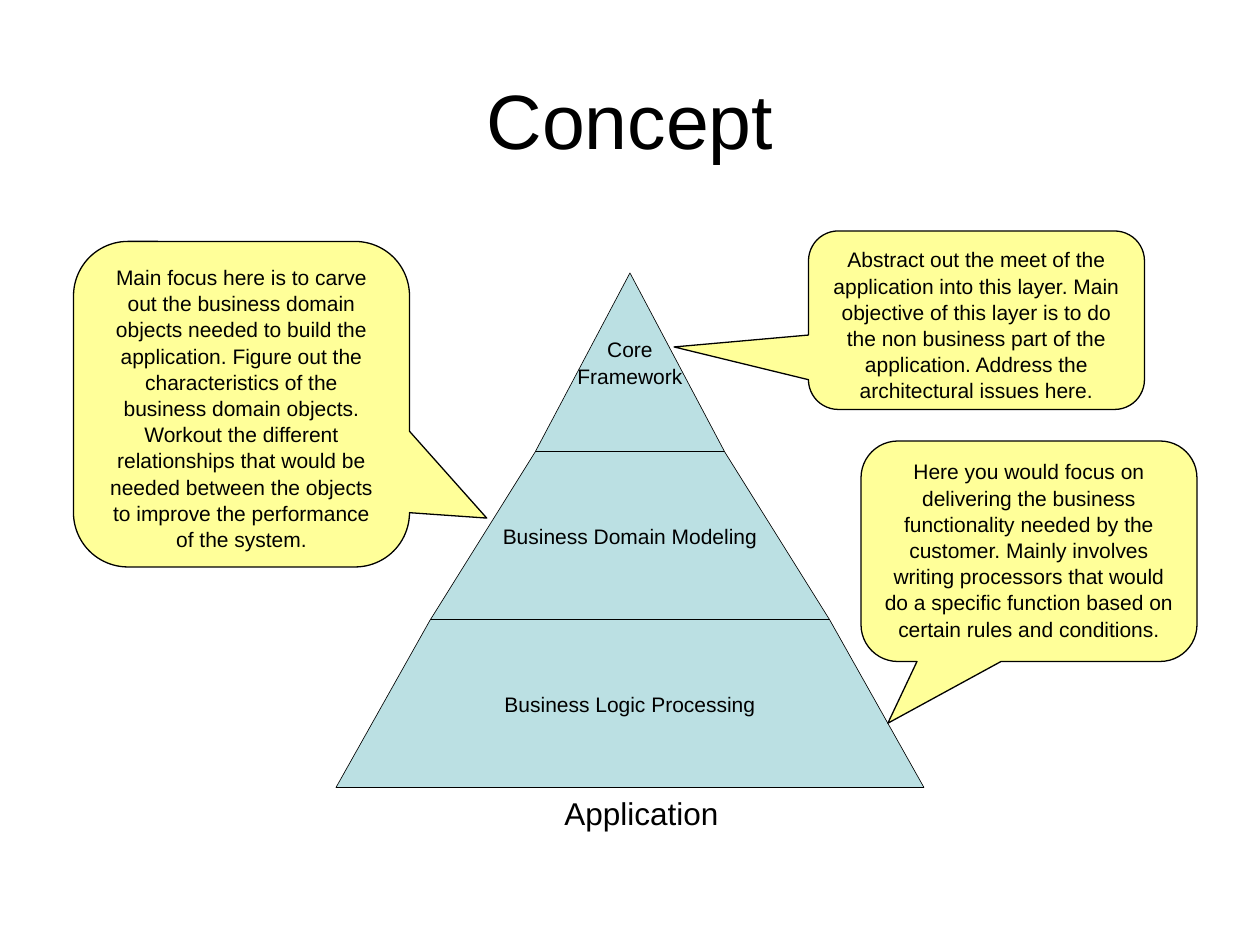
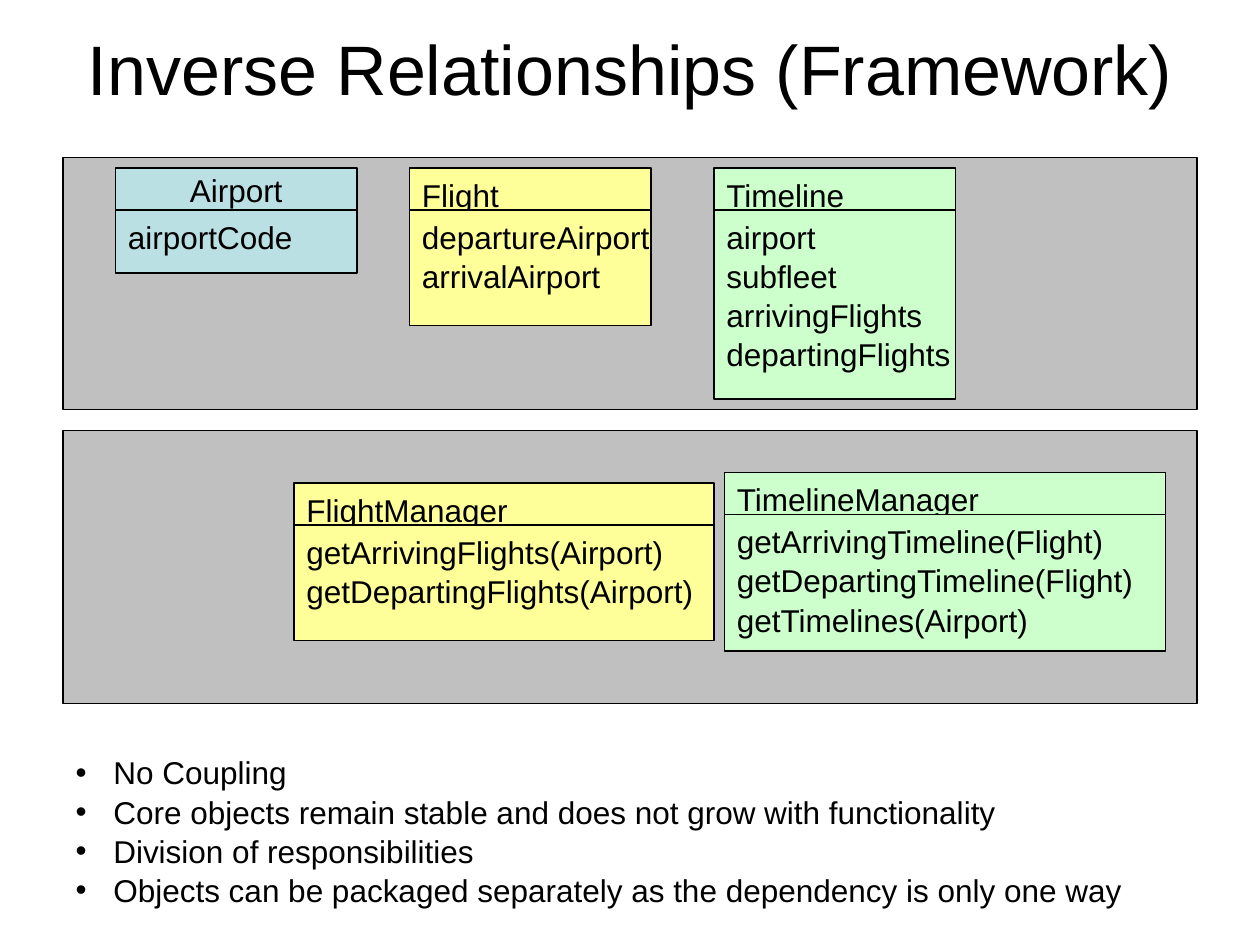
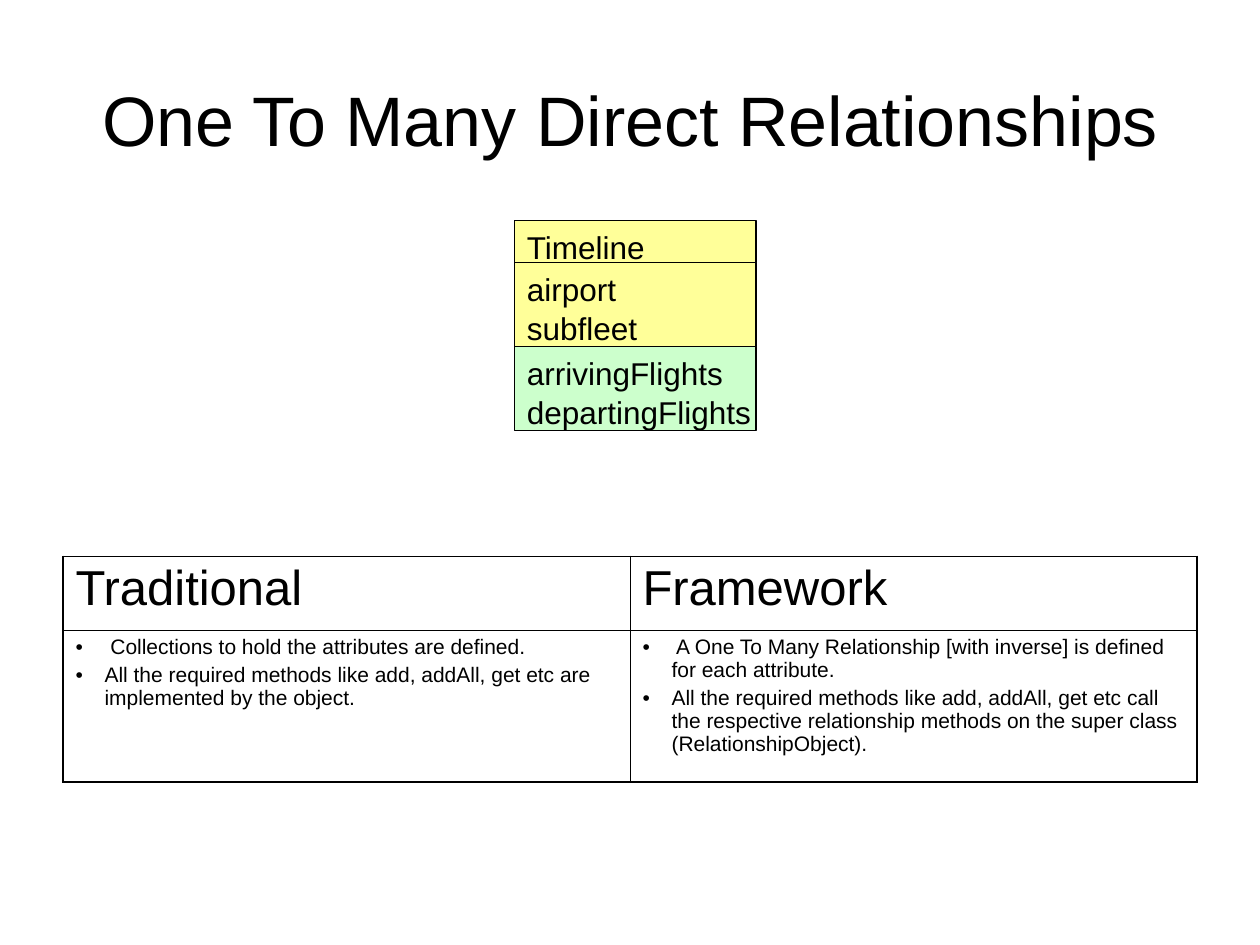
import dataclasses
import typing

import lxml.etree
import pptx
import pptx.chart.data
import pptx.dml.color
import pptx.enum.shapes
import pptx.enum.text
import pptx.oxml.ns
import pptx.util

COLOURS = {
    "ink": "000000",
    "blue": "BBE0E3",
    "yellow": "FFFF99",
    "green": "CCFFCC",
    "grey": "C0C0C0",
}
FONT = "Arial"
COLUMNS, ROWS = 120, 90
CELL = pptx.util.Inches(10) // COLUMNS
LINE_SPACING = 1.04
BULLET_INDENT = pptx.util.Inches(0.23)
THICK, THIN = 1.08, 0.45
TITLE_ONLY, TITLE_AND_BODY = 5, 1

ALIGN = pptx.enum.text.PP_ALIGN
ANCHOR = pptx.enum.text.MSO_ANCHOR
PRESET = pptx.enum.shapes.MSO_SHAPE


@dataclasses.dataclass(frozen=True)
class Area:
    column: float
    row: float
    columns: float
    rows: float

    def lengths(self) -> tuple[int, ...]:
        return tuple(round(CELL * value) for value in dataclasses.astuple(self))


@dataclasses.dataclass(frozen=True)
class Callout:
    area: Area
    pointer: tuple[float, float]
    text: str


@dataclasses.dataclass(frozen=True)
class Section:
    rows: float
    colour: str
    lines: tuple[str, ...]
    centred: bool = False


@dataclasses.dataclass(frozen=True)
class ClassCard:
    column: float
    row: float
    columns: float
    sections: tuple[Section, ...]


TITLE_AREA = Area(6, 3.6, 108, 15)
HIGH_TITLE_AREA = Area(6, 3.6, 108, 5.4)

APEX_COLUMN, APEX_ROW = 60, 26.4
TIER_ROWS, TIER_SPREAD = 16.2, 9.34
TIERS = (
    ("Core", "Framework"),
    ("Business Domain Modeling",),
    ("Business Logic Processing",),
)
CALLOUTS = (
    Callout(Area(77, 22, 32, 17), (-0.9, 0.15),
            "Abstract out the meet of the application into this layer. Main objective of this "
            "layer is to do the non business part of the application. Address the architectural "
            "issues here."),
    Callout(Area(82, 42, 32, 21), (-0.42, 0.78),
            "Here you would focus on delivering the business functionality needed by the customer. "
            "Mainly involves writing processors that would do a specific function based on certain "
            "rules and conditions."),
    Callout(Area(7, 23, 32, 31), (0.73, 0.35),
            "Main focus here is to carve out the business domain objects needed to build the "
            "application. Figure out the characteristics of the business domain objects. Workout "
            "the different relationships that would be needed between the objects to improve the "
            "performance of the system."),
)

PANELS = (Area(6, 15, 108, 24), Area(6, 41, 108, 26))
FRAMEWORK_CARDS = (
    ClassCard(11, 16, 23, (
        Section(4, "blue", ("Airport",), centred=True),
        Section(6, "blue", ("airportCode",)))),
    ClassCard(39, 16, 23, (
        Section(4, "yellow", ("Flight",)),
        Section(11, "yellow", ("departureAirport", "arrivalAirport")))),
    ClassCard(68, 16, 23, (
        Section(4, "green", ("Timeline",)),
        Section(18, "green", ("airport", "subfleet", "arrivingFlights", "departingFlights")))),
    ClassCard(28, 46, 40, (
        Section(4, "yellow", ("FlightManager",)),
        Section(11, "yellow", ("getArrivingFlights(Airport)", "getDepartingFlights(Airport)")))),
    ClassCard(69, 45, 42, (
        Section(4, "green", ("TimelineManager",)),
        Section(13, "green", ("getArrivingTimeline(Flight)", "getDepartingTimeline(Flight)",
                              "getTimelines(Airport)")))),
)
BENEFITS = (
    " No Coupling",
    " Core objects remain stable and does not grow with functionality",
    " Division of responsibilities",
    " Objects can be packaged separately as the dependency is only one way",
)

TIMELINE_CARD = ClassCard(49, 21, 23, (
    Section(4, "yellow", ("Timeline",)),
    Section(8, "yellow", ("airport", "subfleet")),
    Section(8, "green", ("arrivingFlights", "departingFlights"))))
COMPARISON_AREA = Area(6, 53, 108, 21.5)
COMPARISON_ROWS = (7, 14.5)
COMPARISON = {
    "Traditional": (
        " Collections to hold the attributes are defined.",
        "All the required methods like add, addAll, get etc are implemented by the object.",
    ),
    "Framework": (
        " A One To Many Relationship [with inverse] is defined for each attribute.",
        "All the required methods like add, addAll, get etc call the respective relationship "
        "methods on the super class (RelationshipObject).",
    ),
}


def colour(name: str) -> pptx.dml.color.RGBColor:
    return pptx.dml.color.RGBColor.from_string(COLOURS[name])


def add_element(parent: typing.Any, tag: str, **attributes: str) -> typing.Any:
    return lxml.etree.SubElement(parent, pptx.oxml.ns.qn(tag), attributes)


def add_bullet(para: typing.Any) -> None:
    properties = para._p.get_or_add_pPr()
    properties.set("marL", str(BULLET_INDENT))
    properties.set("indent", str(-BULLET_INDENT))
    bullet_colour = add_element(properties, "a:buClr")
    add_element(bullet_colour, "a:srgbClr", val=COLOURS["ink"])
    add_element(properties, "a:buFont", typeface=FONT)
    add_element(properties, "a:buChar", char="•")


def write(frame: typing.Any, lines: typing.Sequence[str], size: float,
          align: ALIGN = ALIGN.LEFT, spacing: float = LINE_SPACING,
          before: float = 0, bullets: bool = False) -> None:
    for index, line in enumerate(lines):
        para = frame.add_paragraph() if index else frame.paragraphs[0]
        para.alignment = align
        para.line_spacing = spacing
        para.space_before = pptx.util.Pt(before)
        if bullets:
            add_bullet(para)
        span = para.add_run()
        span.text = line
        span.font.name = FONT
        span.font.size = pptx.util.Pt(size)
        span.font.color.rgb = colour("ink")


def set_frame(frame: typing.Any, anchor: ANCHOR = ANCHOR.TOP, wrap: bool = True) -> None:
    frame.auto_size = pptx.enum.text.MSO_AUTO_SIZE.NONE
    frame.vertical_anchor = anchor
    frame.word_wrap = wrap


def paint(box: typing.Any, fill: str, line_width: float = 0.75) -> None:
    box.shadow.inherit = False
    box.fill.solid()
    box.fill.fore_color.rgb = colour(fill)
    box.line.color.rgb = colour("ink")
    box.line.width = pptx.util.Pt(line_width)


def move(box: typing.Any, area: Area) -> None:
    box.left, box.top, box.width, box.height = area.lengths()


def add_page(deck: typing.Any, title: str, size: float, area: Area = TITLE_AREA,
             layout: int = TITLE_ONLY) -> typing.Any:
    page = deck.slides.add_slide(deck.slide_layouts[layout])
    box = page.shapes.title
    move(box, area)
    set_frame(box.text_frame, ANCHOR.MIDDLE)
    write(box.text_frame, (title,), size, ALIGN.CENTER)
    return page


def add_box(page: typing.Any, preset: PRESET, area: Area, fill: str) -> typing.Any:
    box = page.shapes.add_shape(preset, *area.lengths())
    paint(box, fill)
    return box


def add_tier(page: typing.Any, level: int, lines: tuple[str, ...]) -> None:
    top = APEX_ROW + level * TIER_ROWS
    bottom = top + TIER_ROWS
    narrow, wide = level * TIER_SPREAD, (level + 1) * TIER_SPREAD
    builder = page.shapes.build_freeform(APEX_COLUMN - wide, bottom, scale=CELL)
    builder.add_line_segments((
        (APEX_COLUMN + wide, bottom),
        (APEX_COLUMN + narrow, top),
        (APEX_COLUMN - narrow, top),
    ))
    tier = builder.convert_to_shape()
    paint(tier, "blue", 0.37)
    frame = tier.text_frame
    set_frame(frame, ANCHOR.MIDDLE, wrap=False)
    frame.margin_left = frame.margin_right = frame.margin_top = frame.margin_bottom = 0
    write(frame, lines, 12, ALIGN.CENTER)


def add_callout(page: typing.Any, callout: Callout) -> None:
    box = add_box(page, PRESET.ROUNDED_RECTANGULAR_CALLOUT, callout.area, "yellow")
    for index, value in enumerate((*callout.pointer, 0.167)):
        box.adjustments[index] = value
    set_frame(box.text_frame)
    write(box.text_frame, (callout.text,), 12, ALIGN.CENTER)


def add_card(page: typing.Any, card: ClassCard) -> None:
    row = card.row
    for section in card.sections:
        area = Area(card.column, row, card.columns, section.rows)
        box = add_box(page, PRESET.RECTANGLE, area, section.colour)
        set_frame(box.text_frame, ANCHOR.MIDDLE if section.centred else ANCHOR.TOP, wrap=False)
        write(box.text_frame, section.lines, 18,
              ALIGN.CENTER if section.centred else ALIGN.LEFT)
        row += section.rows


def set_borders(cell: typing.Any, widths: dict[str, float]) -> None:
    properties = cell._tc.get_or_add_tcPr()
    for index, (side, width) in enumerate(widths.items()):
        border = add_element(properties, f"a:ln{side}", w=str(pptx.util.Pt(width)))
        fill = add_element(border, "a:solidFill")
        add_element(fill, "a:srgbClr", val=COLOURS["ink"])
        properties.insert(index, border)


def add_comparison(page: typing.Any) -> None:
    table = page.shapes.add_table(2, len(COMPARISON), *COMPARISON_AREA.lengths()).table
    table.first_row = table.horz_banding = False
    for row, rows in zip(table.rows, COMPARISON_ROWS):
        row.height = round(CELL * rows)
    last = len(COMPARISON) - 1
    for column, (heading, points) in enumerate(COMPARISON.items()):
        head, body = table.cell(0, column), table.cell(1, column)
        write(head.text_frame, (heading,), 28, spacing=0.97, before=7)
        write(body.text_frame, points, 12, spacing=0.97, before=3, bullets=True)
        for cell in (head, body):
            cell.fill.background()
            set_borders(cell, {
                "L": THICK if column == 0 else THIN,
                "R": THICK if column == last else THIN,
                "T": THICK if cell is head else THIN,
                "B": THICK if cell is body else THIN,
            })


def build_concept(deck: typing.Any) -> None:
    page = add_page(deck, "Concept", 44)
    for level, lines in enumerate(TIERS):
        add_tier(page, level, lines)
    for callout in CALLOUTS:
        add_callout(page, callout)
    box = page.shapes.add_textbox(*Area(45, 75, 32.2, 4.8).lengths())
    set_frame(box.text_frame, ANCHOR.MIDDLE)
    write(box.text_frame, ("Application",), 18, ALIGN.CENTER)


def build_inverse_relationships(deck: typing.Any) -> None:
    page = add_page(deck, "Inverse Relationships (Framework)", 40, HIGH_TITLE_AREA,
                    TITLE_AND_BODY)
    for area in PANELS:
        add_box(page, PRESET.RECTANGLE, area, "grey")
    for card in FRAMEWORK_CARDS:
        add_card(page, card)
    body = page.placeholders[1]
    move(body, Area(6, 71, 109, 15.6))
    set_frame(body.text_frame)
    write(body.text_frame, BENEFITS, 18, bullets=True)


def build_one_to_many(deck: typing.Any) -> None:
    page = add_page(deck, "One To Many Direct Relationships", 40)
    add_comparison(page)
    add_card(page, TIMELINE_CARD)


def main() -> None:
    deck = pptx.Presentation()
    deck.slide_width, deck.slide_height = CELL * COLUMNS, CELL * ROWS
    build_concept(deck)
    build_inverse_relationships(deck)
    build_one_to_many(deck)
    deck.save("out.pptx")


if __name__ == "__main__":
    main()
